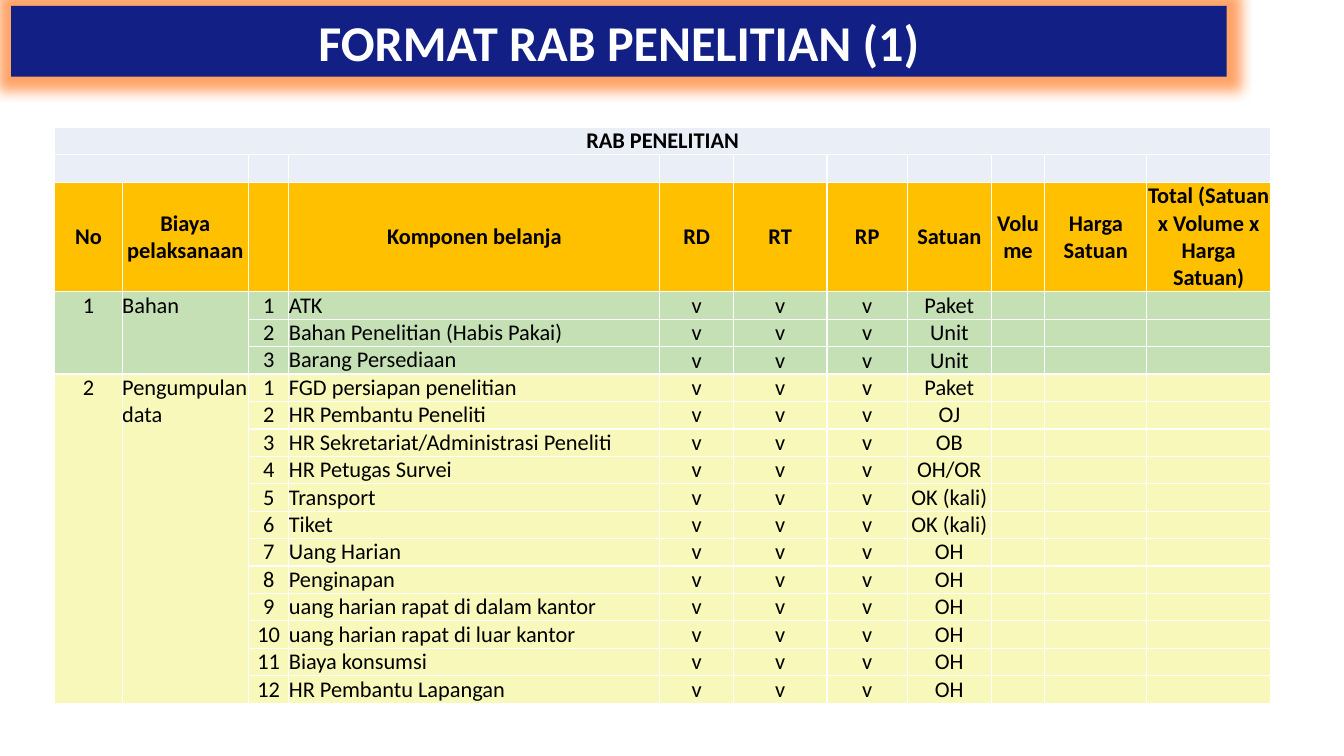
from lxml import etree
from pptx import Presentation
from pptx.dml.color import RGBColor
from pptx.enum.text import MSO_ANCHOR, MSO_AUTO_SIZE, PP_ALIGN
from pptx.oxml.ns import qn
from pptx.util import Cm, Pt

LEFT, CENTER = PP_ALIGN.LEFT, PP_ALIGN.CENTER
TOP, MIDDLE = MSO_ANCHOR.TOP, MSO_ANCHOR.MIDDLE
NO_AUTOFIT = MSO_AUTO_SIZE.NONE
TITLE_ONLY = 5

FONT = "Calibri"
TABLE_SIZE = 16
NAVY, ORANGE, WHITE, BLACK = "122086", "FF6600", "FFFFFF", "000000"
CAPTION_FILL, HEADING_FILL = "EAEFF7", "FFC000"
BORDER_WIDTH = Pt(1)

COLUMN_WIDTHS = [1.7, 3.18, 1.02, 9.35, 1.85, 2.36, 2.03, 2.11, 1.35, 2.57, 3.12]
ROW_HEIGHT, HEADING_HEIGHT = 0.68, 2.72
CAPTION_ROW, SPACER_ROW, HEADING_ROW, FIRST_ITEM_ROW = range(4)

CAPTION = "RAB PENELITIAN"
HEADINGS = ["No", "Biaya pelaksanaan", "", "Komponen belanja", "RD", "RT", "RP",
            "Satuan", "Volume", "Harga Satuan",
            "Total (Satuan x Volume x Harga Satuan)"]
COST_GROUPS = [
    ("Bahan", "C5E0B4", [
        ("ATK", "Paket"),
        ("Bahan Penelitian (Habis Pakai)", "Unit"),
        ("Barang Persediaan", "Unit"),
    ]),
    ("Pengumpulan data", "F7F8BA", [
        ("FGD persiapan penelitian", "Paket"),
        ("HR Pembantu Peneliti", "OJ"),
        ("HR Sekretariat/Administrasi Peneliti", "OB"),
        ("HR Petugas Survei", "OH/OR"),
        ("Transport", "OK (kali)"),
        ("Tiket", "OK (kali)"),
        ("Uang Harian", "OH"),
        ("Penginapan", "OH"),
        ("uang harian rapat di dalam kantor", "OH"),
        ("uang harian rapat di luar kantor", "OH"),
        ("Biaya konsumsi", "OH"),
        ("HR Pembantu Lapangan", "OH"),
    ]),
]
ITEM_ALIGNMENTS = [CENTER, LEFT, CENTER, LEFT] + [CENTER] * 7
ITEM_ANCHORS = [TOP] * 4 + [MIDDLE] * 7


def set_all(target, values):
    for name, value in values.items():
        setattr(target, name, value)


def paint(fill, color):
    fill.solid()
    fill.fore_color.rgb = RGBColor.from_string(color)


def write(paragraph, text, size, color, bold, alignment):
    paragraph.alignment = alignment
    run = paragraph.add_run()
    run.text = text
    set_all(run.font, {"name": FONT, "size": Pt(size), "bold": bold})
    run.font.color.rgb = RGBColor.from_string(color)


def add_color(parent, color):
    fill = etree.SubElement(parent, qn("a:solidFill"))
    etree.SubElement(fill, qn("a:srgbClr"), val=color)


def add_glow(shape, color, radius, opacity):
    effects = etree.SubElement(shape._element.spPr, qn("a:effectLst"))
    glow = etree.SubElement(effects, qn("a:glow"), rad=str(radius))
    tint = etree.SubElement(glow, qn("a:srgbClr"), val=color)
    etree.SubElement(tint, qn("a:alpha"), val=str(opacity * 1000))


def add_borders(cell):
    properties = cell._tc.get_or_add_tcPr()
    for side in ("lnL", "lnR", "lnT", "lnB"):
        line = etree.SubElement(properties, qn(f"a:{side}"), w=str(BORDER_WIDTH))
        add_color(line, WHITE)


def fill_title(title, text):
    set_all(title, {"left": Cm(0.28), "top": Cm(0.15),
                    "width": Cm(30.63), "height": Cm(1.78)})
    paint(title.fill, NAVY)
    add_glow(title, ORANGE, Cm(0.63), 60)
    set_all(title.text_frame, {"auto_size": NO_AUTOFIT, "word_wrap": True,
                               "vertical_anchor": MIDDLE})
    write(title.text_frame.paragraphs[0], text, 35.8, WHITE, True, CENTER)


def fill_cell(cell, text, color, bold=False, alignment=CENTER, anchor=TOP):
    set_all(cell, {"margin_left": 0, "margin_right": 0, "margin_top": 0,
                   "margin_bottom": 0, "vertical_anchor": anchor})
    add_borders(cell)
    paint(cell.fill, color)
    paragraph = cell.text_frame.paragraphs[0]
    if text:
        write(paragraph, text, TABLE_SIZE, BLACK, bold, alignment)
    else:
        # An empty cell needs its own text size to keep the row low.
        paragraph._p.get_or_add_endParaRPr().set("sz", str(TABLE_SIZE * 100))


def fill_cost_group(table, first_row, number, name, color, items):
    for index, (component, unit) in enumerate(items):
        group_texts = [str(number), name] if index == 0 else ["", ""]
        texts = group_texts + [str(index + 1), component, "v", "v", "v", unit, "", "", ""]
        formats = zip(texts, ITEM_ALIGNMENTS, ITEM_ANCHORS)
        for column, (text, alignment, anchor) in enumerate(formats):
            fill_cell(table.cell(first_row + index, column), text, color,
                      alignment=alignment, anchor=anchor)
    last_row = first_row + len(items) - 1
    for column in (0, 1):
        table.cell(first_row, column).merge(table.cell(last_row, column))


def add_budget_table(slide):
    row_count = FIRST_ITEM_ROW + sum(len(items) for _, _, items in COST_GROUPS)
    heights = [ROW_HEIGHT] * row_count
    heights[HEADING_ROW] = HEADING_HEIGHT
    table = slide.shapes.add_table(row_count, len(COLUMN_WIDTHS), Cm(1.38), Cm(3.21),
                                   Cm(sum(COLUMN_WIDTHS)), Cm(sum(heights))).table
    set_all(table, {"first_row": False, "horz_banding": False})
    for column, width in zip(table.columns, COLUMN_WIDTHS):
        column.width = Cm(width)
    for row, height in zip(table.rows, heights):
        row.height = Cm(height)

    for column, heading in enumerate(HEADINGS):
        caption = CAPTION if column == 0 else ""
        fill_cell(table.cell(CAPTION_ROW, column), caption, CAPTION_FILL, bold=True)
        fill_cell(table.cell(SPACER_ROW, column), "", CAPTION_FILL)
        fill_cell(table.cell(HEADING_ROW, column), heading, HEADING_FILL,
                  bold=True, anchor=MIDDLE)
    table.cell(CAPTION_ROW, 0).merge(table.cell(CAPTION_ROW, len(HEADINGS) - 1))
    table.cell(SPACER_ROW, 0).merge(table.cell(SPACER_ROW, 1))

    first_row = FIRST_ITEM_ROW
    for number, (name, color, items) in enumerate(COST_GROUPS, start=1):
        fill_cost_group(table, first_row, number, name, color, items)
        first_row += len(items)


def main():
    presentation = Presentation()
    set_all(presentation, {"slide_width": Cm(33.87), "slide_height": Cm(19.05)})
    slide = presentation.slides.add_slide(presentation.slide_layouts[TITLE_ONLY])
    fill_title(slide.shapes.title, "FORMAT RAB PENELITIAN (1)")
    add_budget_table(slide)
    presentation.save("out.pptx")


if __name__ == "__main__":
    main()
